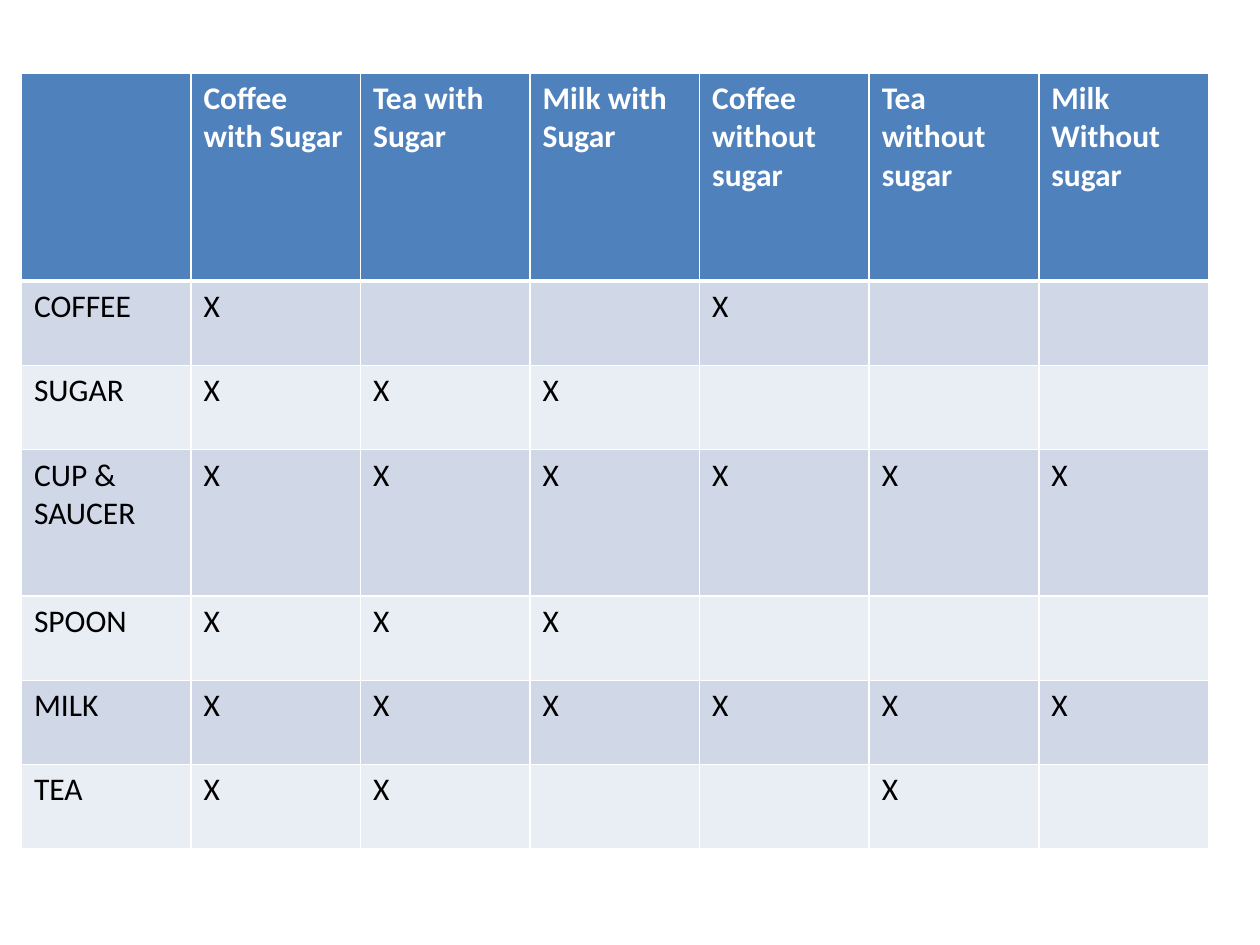
from dataclasses import dataclass

from lxml import etree
from pptx import Presentation
from pptx import util as u
from pptx.dml import color
from pptx.oxml import ns

COLORS = {
    "header": "4F81BD",
    "odd": "D0D8E8",
    "even": "E9EDF4",
    "border": "FFFFFF",
    "header_text": "FFFFFF",
    "body_text": "000000",
}
DRINKS = [
    "Coffee with Sugar",
    "Tea with Sugar",
    "Milk with Sugar",
    "Coffee without sugar",
    "Tea without sugar",
    "Milk Without sugar",
]
LEFT, TOP, WIDTH = 0.17, 0.58, 9.42
HEADER_HEIGHT, ROW_HEIGHT, TALL_HEIGHT = 1.65, 0.67, 1.16


@dataclass
class Ingredient:
    lines: list[str]
    marks: str
    height: float = ROW_HEIGHT


INGREDIENTS = [
    Ingredient(["COFFEE"], "X--X--"),
    Ingredient(["SUGAR"], "XXX---"),
    Ingredient(["CUP &", "SAUCER"], "XXXXXX", TALL_HEIGHT),
    Ingredient(["SPOON"], "XXX---"),
    Ingredient(["MILK"], "XXXXXX"),
    Ingredient(["TEA"], "XX--X-"),
]


def add_borders(cell, top: float, bottom: float) -> None:
    properties = cell._tc.get_or_add_tcPr()
    for side, points in (("L", 1), ("R", 1), ("T", top), ("B", bottom)):
        line = etree.SubElement(properties, ns.qn(f"a:ln{side}"), w=str(u.Pt(points)))
        fill = etree.SubElement(line, ns.qn("a:solidFill"))
        etree.SubElement(fill, ns.qn("a:srgbClr"), val=COLORS["border"])


def fill_cell(cell, lines: list[str], fill: str, text: str, bold: bool) -> None:
    cell.fill.solid()
    cell.fill.fore_color.rgb = color.RGBColor.from_string(COLORS[fill])
    frame = cell.text_frame
    for index, line in enumerate(lines):
        paragraph = frame.add_paragraph() if index else frame.paragraphs[0]
        run = paragraph.add_run()
        run.text = line
        run.font.name = "Calibri"
        run.font.size = u.Pt(18)
        run.font.bold = bold
        run.font.color.rgb = color.RGBColor.from_string(COLORS[text])


def add_matrix(slide) -> None:
    heights = [HEADER_HEIGHT] + [item.height for item in INGREDIENTS]
    column_count = len(DRINKS) + 1
    table = slide.shapes.add_table(
        len(heights), column_count,
        u.Inches(LEFT), u.Inches(TOP), u.Inches(WIDTH), u.Inches(sum(heights)),
    ).table
    for column in table.columns:
        column.width = u.Inches(WIDTH / column_count)
    for row, height in zip(table.rows, heights):
        row.height = u.Inches(height)

    contents = [[[]] + [[drink] for drink in DRINKS]]
    for item in INGREDIENTS:
        contents.append([item.lines] + [["X"] if mark == "X" else [] for mark in item.marks])

    for row_index, row in enumerate(contents):
        header = row_index == 0
        fill = "header" if header else ("odd" if row_index % 2 else "even")
        text = "header_text" if header else "body_text"
        for column_index, lines in enumerate(row):
            cell = table.cell(row_index, column_index)
            add_borders(cell, top=3 if row_index == 1 else 1, bottom=3 if header else 1)
            fill_cell(cell, lines, fill, text, bold=header)


def main() -> None:
    presentation = Presentation()
    presentation.slide_width = u.Inches(10)
    presentation.slide_height = u.Inches(7.5)
    slide = presentation.slides.add_slide(presentation.slide_layouts[6])
    add_matrix(slide)
    presentation.save("out.pptx")


if __name__ == "__main__":
    main()
